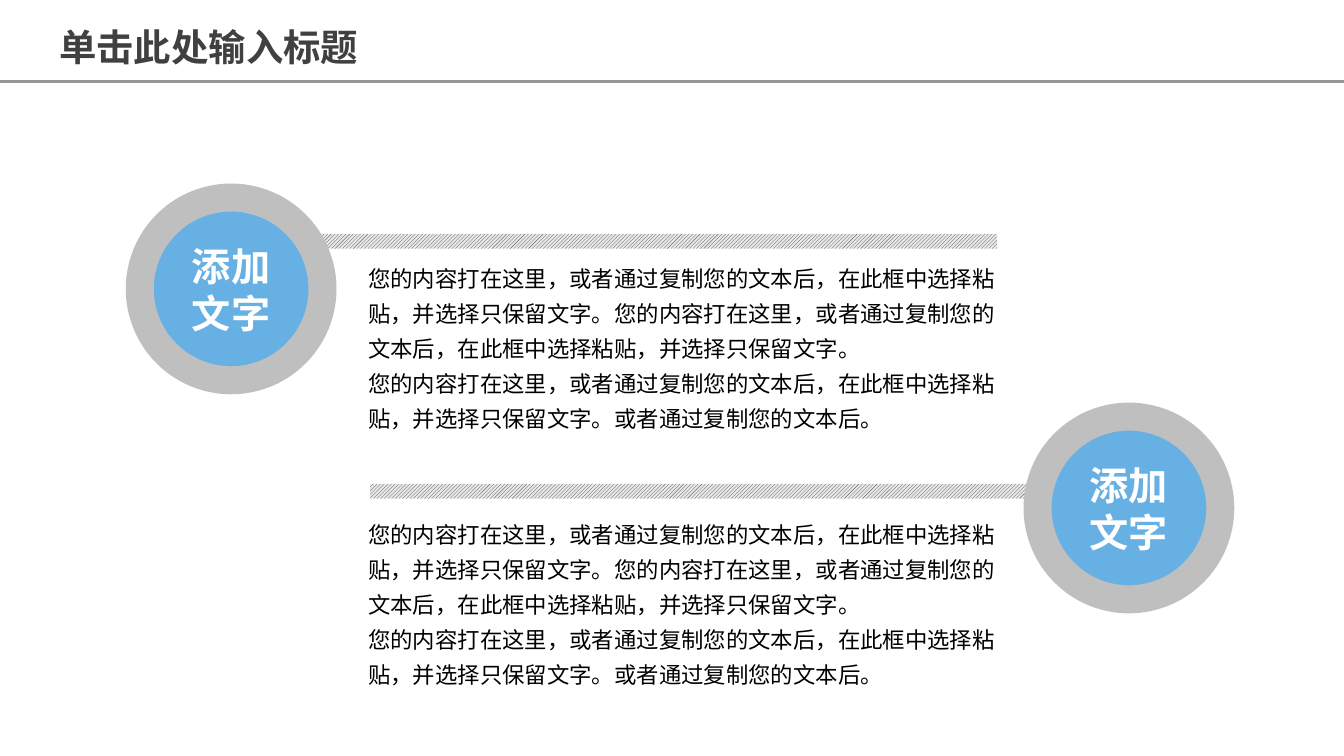
import dataclasses

import lxml.etree
import pptx
import pptx.dml.color
import pptx.enum.dml
import pptx.enum.shapes
import pptx.enum.text
import pptx.oxml.ns
import pptx.util

Align = pptx.enum.text.PP_ALIGN
Anchor = pptx.enum.text.MSO_ANCHOR
Shape = pptx.enum.shapes.MSO_SHAPE
qn = pptx.oxml.ns.qn


@dataclasses.dataclass(frozen=True)
class Theme:
    font: str = "Noto Sans CJK SC"
    title: str = "404040"
    rule: str = "969696"
    body: str = "000000"
    label: str = "FFFFFF"
    disc: str = "67B0E3"
    ring: str = "BFBFBF"
    hatch: str = "414455"
    pale: str = "E8E8E6"
    title_size: int = 20
    label_size: int = 21
    body_size: int = 12


THEME = Theme()
UNIT = pptx.util.Inches(10) // 100  # the slide is 100 columns wide
COLS, ROWS = 100, 56.25
DISC, BAR, TEXT_W, TEXT_H = 13.6, 1.1, 48.4, 13.9
BAR_W = 51.4
TIGHT = (0.75, 0.38)

TITLE = "单击此处输入标题"
LABEL = "添加文字"
START = "您的内容打在这里，或者通过复制您的文本后，在此框中选择粘贴，并选择只保留文字。"
BODY = [START * 2, START + "或者通过复制您的文本后。"]


def span(*cells):
    return [round(cell * UNIT) for cell in cells]


def color(code):
    return pptx.dml.color.RGBColor.from_string(code)


def write(shape, lines, size, ink, bold=False, align=Align.LEFT,
          anchor=Anchor.TOP, space=None, pad=(1, 0.5)):
    frame = shape.text_frame
    frame.word_wrap = True
    frame.auto_size = pptx.enum.text.MSO_AUTO_SIZE.NONE
    frame.vertical_anchor = anchor
    frame.margin_left, frame.margin_top = span(*pad)
    frame.margin_right, frame.margin_bottom = span(*pad)
    frame.text = "\n".join(lines)
    for para in frame.paragraphs:
        para.alignment = align
        para.line_spacing = space
        for run in para.runs:
            font = run.font
            font.size, font.bold = pptx.util.Pt(size), bold
            font.color.rgb = color(ink)
            font.name = THEME.font
            east = lxml.etree.SubElement(run._r.get_or_add_rPr(), qn("a:ea"))
            east.set("typeface", THEME.font)


def header(slide, left, top, width, height):
    title = slide.shapes.title
    title.left, title.top, title.width, title.height = span(
        left + 3.4, top + 0.6, 26.1, 5)
    write(title, [TITLE], THEME.title_size, THEME.title, bold=True, space=1.2)
    rule = slide.shapes.add_connector(
        pptx.enum.shapes.MSO_CONNECTOR.STRAIGHT,
        *span(left, top + height, left + width, top + height))
    rule.line.color.rgb = color(THEME.rule)
    rule.line.width = pptx.util.Pt(1.75)
    lxml.etree.SubElement(rule._element.spPr, qn("a:effectLst"))


def add_bar(slide, left, top):
    bar = slide.shapes.add_shape(Shape.RECTANGLE, *span(left, top, BAR_W, BAR))
    bar.shadow.inherit = False
    bar.fill.patterned()
    bar.fill.pattern = pptx.enum.dml.MSO_PATTERN.LIGHT_UPWARD_DIAGONAL
    bar.fill.fore_color.rgb = color(THEME.hatch)
    bar.fill.back_color.rgb = color(THEME.pale)
    bar.line.fill.background()


def add_disc(slide, left, top):
    disc = slide.shapes.add_shape(Shape.OVAL, *span(left, top, DISC, DISC))
    disc.shadow.inherit = False
    disc.fill.solid()
    disc.fill.fore_color.rgb = color(THEME.disc)
    disc.line.color.rgb = color(THEME.ring)
    disc.line.width = pptx.util.Pt(15)
    write(disc, [LABEL], THEME.label_size, THEME.label, bold=True,
          align=Align.CENTER, anchor=Anchor.MIDDLE, pad=TIGHT)


def section(slide, left, top, width, height, bar, flip=False):
    """Disc at the top of one side, text at the bottom of the other."""
    far_disc, far_text = left + width - DISC, left + width - TEXT_W
    disc_x, text_x = (far_disc, left) if flip else (left, far_text)
    add_bar(slide, left + bar[0], top + bar[1])
    add_disc(slide, disc_x, top)
    text = slide.shapes.add_textbox(
        *span(text_x, top + height - TEXT_H, TEXT_W, TEXT_H))
    write(text, BODY, THEME.body_size, THEME.body, space=1.3, pad=TIGHT)


def main():
    deck = pptx.Presentation()
    deck.slide_width, deck.slide_height = span(COLS, ROWS)
    slide = deck.slides.add_slide(deck.slide_layouts.get_by_name("Title Only"))
    header(slide, 0, 0, COLS, 6.05)
    section(slide, 10.4, 14.7, 64.65, 17.95, bar=(12.4, 2.7))
    section(slide, 26.65, 31, 64.15, 20.7, bar=(0.9, 5), flip=True)
    deck.save("out.pptx")


if __name__ == "__main__":
    main()
